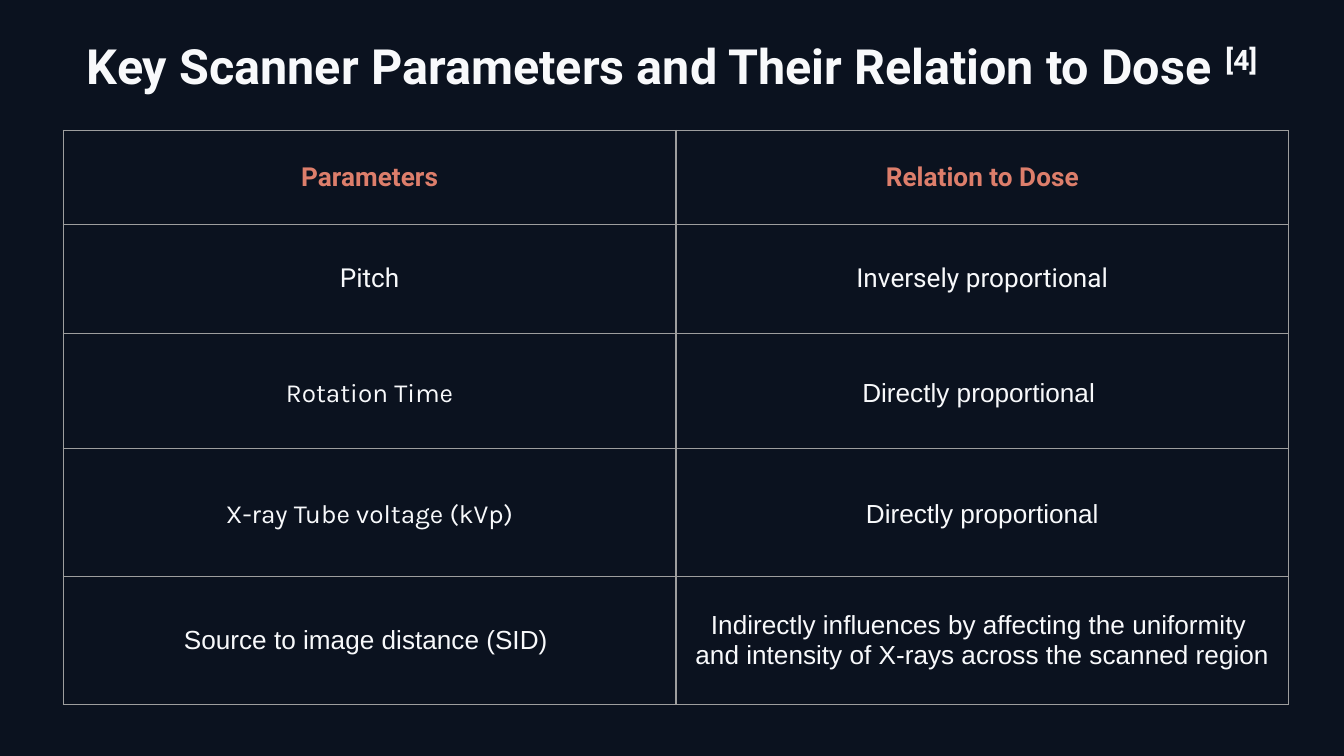
from dataclasses import dataclass

from lxml import etree
from pptx import Presentation
from pptx import util as u
from pptx.dml.color import RGBColor
from pptx.enum import text
from pptx.oxml import ns


@dataclass(frozen=True)
class Theme:
    background: str = "0B121F"
    ink: str = "F8F9FB"
    accent: str = "DD7E6B"
    rule: str = "9E9E9E"
    rule_width: float = 0.75
    title_size: int = 26
    cell_size: int = 14
    heading_font: str = "Roboto"
    label_font: str = "Karla"
    body_font: str = "Arial"


THEME = Theme()
INSET = u.Inches(0.1)
SLIDE_WIDTH = u.Inches(10)
SLIDE_HEIGHT = SLIDE_WIDTH * 9 // 16


@dataclass(frozen=True)
class Entry:
    lines: tuple[str, ...]
    font: str = THEME.body_font
    color: str = THEME.ink
    bold: bool = False
    spacing: float | None = None
    after: float | None = None


@dataclass(frozen=True)
class Relation:
    height: float
    parameter: Entry
    dose: Entry


def heading(label: str) -> Entry:
    return Entry((label,), THEME.heading_font, THEME.accent, True)


RELATIONS = (
    Relation(0.7, heading("Parameters"), heading("Relation to Dose")),
    Relation(
        0.81,
        Entry(("Pitch",), THEME.heading_font),
        Entry(("Inversely proportional",), THEME.heading_font),
    ),
    Relation(
        0.86,
        Entry(("Rotation Time",), THEME.label_font, spacing=1.15),
        Entry(("Directly proportional ",), spacing=1.15),
    ),
    Relation(
        0.95,
        Entry(("X-ray Tube voltage (kVp)",), THEME.label_font, spacing=1.15, after=12),
        Entry(("Directly proportional",), spacing=1.15),
    ),
    Relation(
        0.95,
        Entry(("Source to image distance (SID) ",)),
        Entry((
            "Indirectly influences by affecting the uniformity ",
            "and intensity of X-rays across the scanned region",
        )),
    ),
)


def apply(target, values: dict) -> None:
    for name, value in values.items():
        setattr(target, name, value)


def style_font(font, name: str, size: float, color: str, bold: bool) -> None:
    apply(font, {"name": name, "size": u.Pt(size), "bold": bold})
    font.color.rgb = RGBColor.from_string(color)


def margins() -> dict:
    return {f"margin_{side}": INSET for side in ("left", "right", "top", "bottom")}


def add_borders(cell) -> None:
    properties = cell._tc.get_or_add_tcPr()
    for position, side in enumerate(("lnL", "lnR", "lnT", "lnB")):
        line = etree.Element(ns.qn(f"a:{side}"), w=str(u.Pt(THEME.rule_width)))
        fill = etree.SubElement(line, ns.qn("a:solidFill"))
        etree.SubElement(fill, ns.qn("a:srgbClr"), val=THEME.rule)
        properties.insert(position, line)


def fill_cell(cell, entry: Entry) -> None:
    apply(cell, margins() | {"vertical_anchor": text.MSO_ANCHOR.MIDDLE})
    cell.fill.background()
    add_borders(cell)
    frame = cell.text_frame
    for index, line in enumerate(entry.lines):
        paragraph = frame.add_paragraph() if index else frame.paragraphs[0]
        paragraph.alignment = text.PP_ALIGN.CENTER
        if entry.spacing:
            paragraph.line_spacing = entry.spacing
        if entry.after:
            paragraph.space_after = u.Pt(entry.after)
        run = paragraph.add_run()
        run.text = line
        style_font(run.font, entry.font, THEME.cell_size, entry.color, entry.bold)


def add_relations(slide, relations: tuple[Relation, ...]) -> None:
    height = sum(relation.height for relation in relations)
    table = slide.shapes.add_table(
        len(relations), 2,
        u.Inches(0.47), u.Inches(0.97), u.Inches(9.12), u.Inches(height),
    ).table
    apply(table, {"first_row": False, "horz_banding": False})
    for row, relation in zip(table.rows, relations):
        row.height = u.Inches(relation.height)
        for cell, entry in zip(row.cells, (relation.parameter, relation.dose)):
            fill_cell(cell, entry)


def add_title(slide, title: str, citation: str) -> None:
    frame = slide.shapes.add_textbox(
        0, u.Inches(0.17), SLIDE_WIDTH, u.Inches(0.64)
    ).text_frame
    apply(frame, margins() | {
        "word_wrap": True, "auto_size": text.MSO_AUTO_SIZE.SHAPE_TO_FIT_TEXT,
    })
    paragraph = frame.paragraphs[0]
    paragraph.alignment = text.PP_ALIGN.CENTER
    for words in (title, citation):
        run = paragraph.add_run()
        run.text = words
        style_font(run.font, THEME.heading_font, THEME.title_size, THEME.ink, True)
    run._r.get_or_add_rPr().set("baseline", "30000")


def main() -> None:
    deck = Presentation()
    apply(deck, {"slide_width": SLIDE_WIDTH, "slide_height": SLIDE_HEIGHT})
    slide = deck.slides.add_slide(deck.slide_layouts[6])
    slide.background.fill.solid()
    slide.background.fill.fore_color.rgb = RGBColor.from_string(THEME.background)
    add_relations(slide, RELATIONS)
    add_title(slide, "Key Scanner Parameters and Their Relation to Dose ", "[4]")
    deck.save("out.pptx")


if __name__ == "__main__":
    main()
